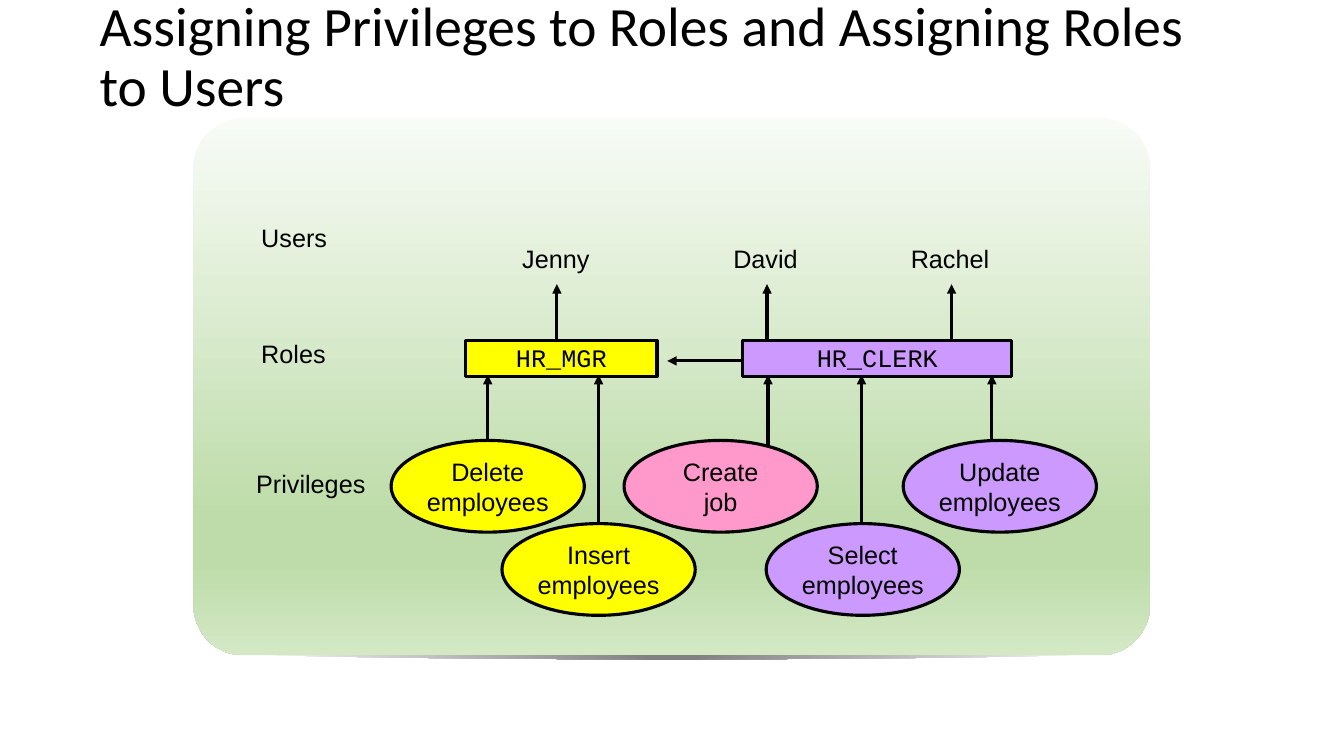
"""Build the slide on privileges, roles and users."""
import math
from dataclasses import dataclass
from lxml import etree
from pptx import Presentation, util as u
from pptx.dml.color import RGBColor
from pptx.enum import shapes, text
from pptx.oxml import parse_xml, ns

Pt = u.Pt
SHAPE = shapes.MSO_SHAPE
ALIGN = text.PP_ALIGN
MID = text.MSO_ANCHOR.MIDDLE


@dataclass
class Theme:
    """Colours, fonts and type sizes."""
    ink: str = "000000"
    gold: str = "FFFF00"
    lilac: str = "CC99FF"
    pink: str = "FF99CC"
    panel: tuple = ((0, "F8FBF6"), (74, "BEDCAA"), (83, "BEDCAA"), (100, "D4E8C6"))
    shade: tuple = ((4, "808080"), (100, "FFFFFF"))
    head: str = "Calibri"
    body: str = "Arial"
    code: str = "Courier New"
    big: float = 39.6
    size: float = 18
    line: float = 2.25


class Deck:
    """Draw styled elements on the current slide."""

    def __init__(self, theme):
        self.theme = theme
        self.prs = Presentation()
        self.prs.slide_width, self.prs.slide_height = Pt(960), Pt(540)
        self.slide = self.prs.slides.add_slide(self.prs.slide_layouts[5])
        self.shapes = self.slide.shapes

    def letter(self, shape, words, font, size, align, gap=None):
        frame = shape.text_frame
        frame.text = words
        for para in frame.paragraphs:
            para.alignment = align
            para.line_spacing = gap
            for run in para.runs:
                run.font.name, run.font.size = font, Pt(size)
                run.font.color.rgb = RGBColor.from_string(self.theme.ink)
        return frame

    def title(self, words, *box):
        shape = self.shapes.title
        shape.left, shape.top, shape.width, shape.height = map(Pt, box)
        frame = self.letter(shape, words, self.theme.head, self.theme.big, ALIGN.LEFT, 0.9)
        frame.word_wrap = True
        frame.auto_size = text.MSO_AUTO_SIZE.NONE
        frame.vertical_anchor = MID

    def blend(self, shape, stops, way):
        shape.shadow.inherit = False
        shape.line.fill.background()
        shape.fill.background()
        marks = "".join(
            f'<a:gs pos="{pos * 1000}"><a:srgbClr val="{tint}"/></a:gs>' for pos, tint in stops)
        grad = parse_xml(
            f'<a:gradFill {ns.nsdecls("a")} rotWithShape="1"><a:gsLst>{marks}</a:gsLst>{way}</a:gradFill>')
        props = shape._element.spPr
        props.replace(props.find(ns.qn("a:noFill")), grad)

    def shade(self, mid, top, half, depth):
        turns = [math.pi * step / 40 for step in range(41)]
        dots = [(Pt(mid + half * math.cos(t)), Pt(top + depth * math.sin(t))) for t in turns]
        form = self.shapes.build_freeform(*dots[0], scale=1.0)
        form.add_line_segments(dots[1:], close=True)
        self.blend(form.convert_to_shape(), self.theme.shade,
                   '<a:path path="circle"><a:fillToRect l="50000" t="50000" r="50000" b="50000"/></a:path>')

    def panel(self, *box):
        shape = self.shapes.add_shape(SHAPE.ROUNDED_RECTANGLE, *map(Pt, box))
        shape.adjustments[0] = 0.094
        self.blend(shape, self.theme.panel, '<a:lin ang="5400000" scaled="0"/>')

    def label(self, words, left, top, wide, align=ALIGN.LEFT):
        box = self.shapes.add_textbox(Pt(left), Pt(top), Pt(wide), Pt(26))
        frame = self.letter(box, words, self.theme.body, self.theme.size, align)
        frame.word_wrap = True
        frame.margin_left = frame.margin_right = Pt(6.6)

    def node(self, kind, words, tint, box, font, gap=None):
        shape = self.shapes.add_shape(kind, *map(Pt, box))
        shape.shadow.inherit = False
        shape.fill.solid()
        shape.fill.fore_color.rgb = RGBColor.from_string(tint)
        shape.line.color.rgb = RGBColor.from_string(self.theme.ink)
        shape.line.width = Pt(self.theme.line)
        frame = self.letter(shape, words, font, self.theme.size, ALIGN.CENTER, gap)
        frame.word_wrap = False
        frame.vertical_anchor = MID
        frame.margin_left = frame.margin_right = Pt(3.6)

    def role(self, words, tint, left, wide):
        self.node(SHAPE.RECTANGLE, words, tint, (left, 243.4, wide, 25.4), self.theme.code, 0.95)

    def right(self, words, tint, mid, top):
        self.node(SHAPE.OVAL, words, tint, (mid - 69, top, 138, 65.5), self.theme.body)

    def arrow(self, *ends):
        line = self.shapes.add_connector(shapes.MSO_CONNECTOR.STRAIGHT, *map(Pt, ends))
        line.line.color.rgb = RGBColor.from_string(self.theme.ink)
        line.line.width = Pt(self.theme.line)
        props = line._element.spPr
        etree.SubElement(props.find(ns.qn("a:ln")), ns.qn("a:tailEnd"), type="triangle")
        etree.SubElement(props, ns.qn("a:effectLst"))


def main():
    """Lay out the slide and save it."""
    theme = Theme()
    deck = Deck(theme)
    deck.shade(480, 465.1, 325.8, 5.8)
    deck.panel(138.2, 84.4, 683.3, 383.8)
    deck.title("Assigning Privileges to Roles and Assigning Roles to Users", 64, 18.7, 810, 46.8)

    for words, left, top in (("Users", 180, 155.5), ("Roles", 180, 238.3), ("Privileges", 176.4, 331.2)):
        deck.label(words, left, top, 101.5)

    for name, mid, stem in (("Jenny", 397, 397.8), ("David", 546.8, 547.9), ("Rachel", 678.6, 679.7)):
        deck.label(name, mid - 45, 170.6, 90, ALIGN.CENTER)
        deck.arrow(stem, 243.4, stem, 203)

    high, low = 314.6, 374
    rights = (
        ("Delete\nemployees", theme.gold, 348.4, high, 348.4),
        ("Insert\nemployees", theme.gold, 427.6, low, 427.6),
        ("Create\njob", theme.pink, 514.8, high, 548.6),
        ("Select\nemployees", theme.lilac, 616.3, low, 615.4),
        ("Update\nemployees", theme.lilac, 714.2, high, 708.5),
    )
    for words, tint, mid, top, stem in rights:
        deck.arrow(stem, top + 8, stem, 267.8)
        deck.right(words, tint, mid, top)

    deck.role("HR_CLERK", theme.lilac, 530.6, 192.2)
    deck.role("HR_MGR", theme.gold, 332.6, 136.8)
    deck.arrow(530.6, 257.8, 476.6, 257.8)
    deck.prs.save("out.pptx")


if __name__ == "__main__":
    main()
